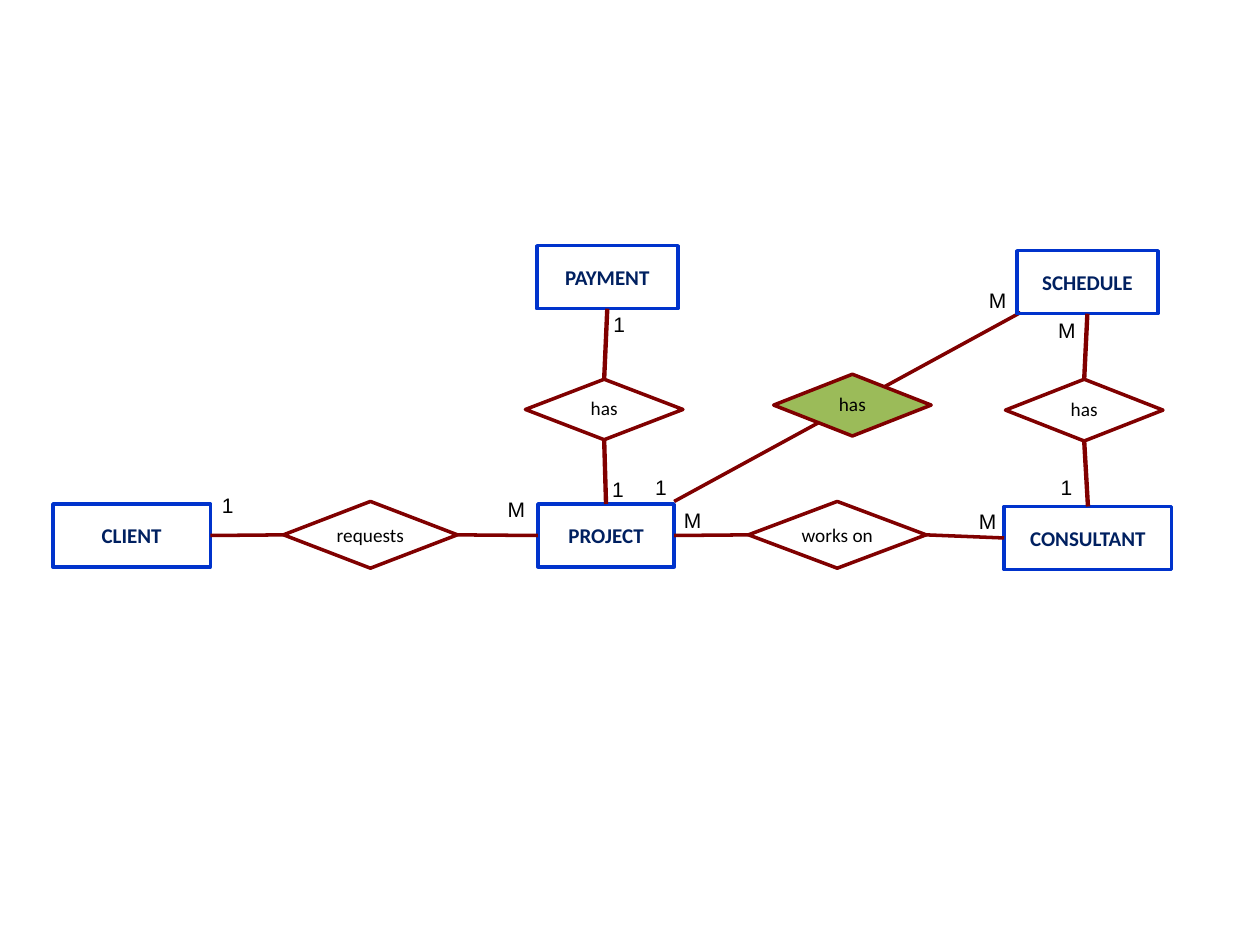
from lxml import etree
from pptx import Presentation
from pptx.dml.color import RGBColor
from pptx.enum.shapes import MSO_CONNECTOR as CONN, MSO_SHAPE as SHAPE
from pptx.enum.text import MSO_ANCHOR as ANCHOR, MSO_AUTO_SIZE as AUTO, PP_ALIGN as ALIGN
from pptx.oxml.ns import qn
from pptx.util import Inches, Pt

BLUE = RGBColor(0x00, 0x33, 0xCC)
NAVY = RGBColor(0x00, 0x20, 0x60)
MAROON = RGBColor(0x80, 0x00, 0x00)
GREEN = RGBColor(0x9B, 0xBB, 0x59)
BLACK = RGBColor(0x00, 0x00, 0x00)
TOP, LEFT, BOTTOM, RIGHT = range(4)

ENTITIES = {
    "CLIENT": (0, 2.05, 1.25),
    "PROJECT": (3.85, 2.05, 1.08),
    "CONSULTANT": (7.55, 2.07, 1.33),
    "PAYMENT": (3.84, 0, 1.12),
    "SCHEDULE": (7.65, 0.04, 1.12),
}
RELATIONSHIPS = {
    "requests": ("requests", 1.83, 2.03, 1.38, 0.53, None, 1),
    "works on": ("works on", 5.52, 2.03, 1.41, 0.53, None, 1),
    "payment has": ("has", 3.75, 1.06, 1.25, 0.48, None, 0.8),
    "schedule has": ("has", 7.56, 1.06, 1.25, 0.49, None, 0.9),
    "project has": ("has", 5.72, 1.02, 1.25, 0.49, GREEN, 0.9),
}
LINKS = [
    ("CLIENT", RIGHT, "requests", LEFT, 2),
    ("requests", RIGHT, "PROJECT", LEFT, 2),
    ("PROJECT", RIGHT, "works on", LEFT, 2),
    ("works on", RIGHT, "CONSULTANT", LEFT, 2),
    ("PAYMENT", BOTTOM, "payment has", TOP, 2.5),
    ("payment has", BOTTOM, "PROJECT", TOP, 2.5),
    ("SCHEDULE", BOTTOM, "schedule has", TOP, 2.5),
    ("schedule has", BOTTOM, "CONSULTANT", TOP, 2.5),
]
CARDINALITIES = [
    ("1", 1.29, 1.91, 0.15), ("M", 3.51, 1.94, 0.35),
    ("M", 4.91, 2.03, 0.29), ("M", 7.25, 2.04, 0.34),
    ("1", 4.34, 1.78, 0.29), ("1", 4.68, 1.77, 0.29),
    ("M", 7.33, 0.28, 0.29), ("1", 4.35, 0.47, 0.29),
    ("1", 7.9, 1.77, 0.29), ("M", 7.88, 0.52, 0.29),
]


def write(sp, text, font="Calibri", size=12, color=BLACK, bold=False, align=ALIGN.CENTER,
          anchor=ANCHOR.MIDDLE, inset=(0.1, 0.05), spacing=1, wrap=True):
    """Put one formatted line of text into a shape."""
    tf = sp.text_frame
    tf.word_wrap = wrap
    tf.vertical_anchor = anchor
    tf.margin_left = tf.margin_right = Inches(inset[0])
    tf.margin_top = tf.margin_bottom = Inches(inset[1])
    p = tf.paragraphs[0]
    p.alignment = align
    p.line_spacing = spacing
    r = p.add_run()
    r.text = text
    r.font.name, r.font.size, r.font.bold = font, Pt(size), bold
    r.font.color.rgb = color


def outline(s, kind, box, color, fill=None):
    """Add a preset shape with a 2 pt outline and an optional fill."""
    sp = s.shapes.add_shape(kind, *map(Inches, box))
    sp.shadow.inherit = False
    if fill is None:
        sp.fill.background()
    else:
        sp.fill.solid()
        sp.fill.fore_color.rgb = fill
    sp.line.color.rgb = color
    sp.line.width = Pt(2)
    return sp


def entity(s, text, x, y, w):
    """Add an entity rectangle."""
    sp = outline(s, SHAPE.RECTANGLE, (x, y, w, 0.5), BLUE)
    write(sp, text, color=NAVY, bold=True, wrap=False)
    return sp


def relationship(s, text, box, fill, spacing):
    """Add a relationship diamond."""
    sp = outline(s, SHAPE.FLOWCHART_DECISION, box, MAROON, fill)
    write(sp, text, size=11, inset=(0.04, 0.04), spacing=spacing)
    return sp


def cardinality(s, text, x, y, w):
    """Add a cardinality label."""
    sp = s.shapes.add_textbox(*map(Inches, (x, y, w, 0.3)))
    write(sp, text, font="Arial", align=ALIGN.LEFT, anchor=ANCHOR.TOP)
    sp.text_frame.auto_size = AUTO.SHAPE_TO_FIT_TEXT


def connector(s, width, ends=(0, 0, 0, 0)):
    """Add a straight maroon connector without a shadow."""
    c = s.shapes.add_connector(CONN.STRAIGHT, *map(Inches, ends))
    c.line.color.rgb = MAROON
    c.line.width = Pt(width)
    etree.SubElement(c._element.spPr, qn("a:effectLst"))
    return c


def er_diagram(s, left, top):
    """Draw the entity-relationship diagram from its top-left corner."""
    connector(s, 2, (left + 4.93, top + 2.03, left + 7.68, top + 0.53))
    nodes = {}
    for name, (x, y, w) in ENTITIES.items():
        nodes[name] = entity(s, name, left + x, top + y, w)
    for name, (text, x, y, w, h, fill, spacing) in RELATIONSHIPS.items():
        nodes[name] = relationship(s, text, (left + x, top + y, w, h), fill, spacing)
    for start, start_side, end, end_side, width in LINKS:
        c = connector(s, width)
        c.begin_connect(nodes[start], start_side)
        c.end_connect(nodes[end], end_side)
    for text, x, y, w in CARDINALITIES:
        cardinality(s, text, left + x, top + y, w)


def main():
    """Build and save the slide."""
    prs = Presentation()
    prs.slide_width, prs.slide_height = Inches(10), Inches(7.5)
    s = prs.slides.add_slide(prs.slide_layouts[6])
    er_diagram(s, 0.42, 1.95)
    prs.save("out.pptx")


if __name__ == "__main__":
    main()
